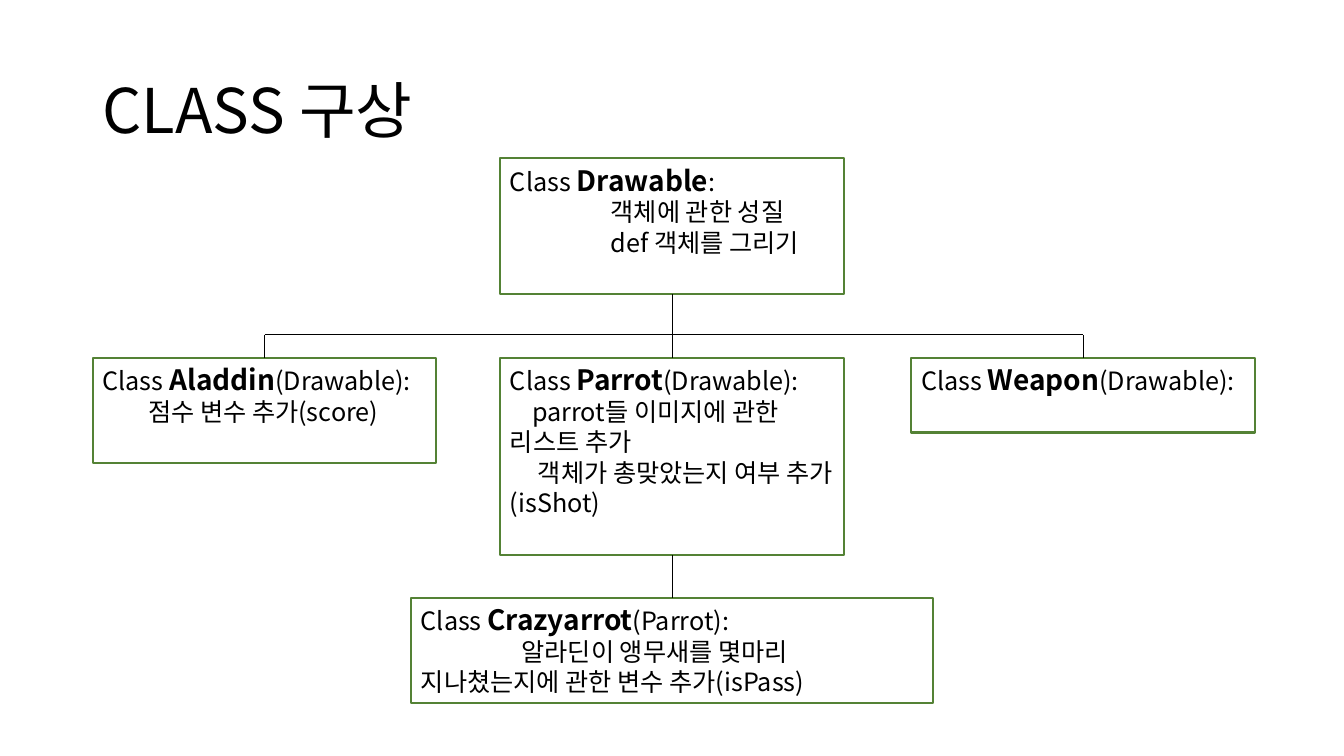
from pptx import Presentation
from pptx.dml.color import RGBColor
from pptx.enum import shapes, text
from pptx.oxml import xmlchemy as x
from pptx.oxml.ns import qn
from pptx.util import Pt

FONT = "Noto Sans CJK KR"
BLACK = RGBColor(0x00, 0x00, 0x00)
GREEN = RGBColor(0x54, 0x82, 0x35)

prs = Presentation()
prs.slide_width, prs.slide_height = Pt(960), Pt(540)
s = prs.slides.add_slide(prs.slide_layouts[6])


def add_run(p, words, size, bold=False):
    """Add a run in the slide font, for Latin and Korean alike."""
    r = p.add_run()
    r.text = words
    for name, value in {"name": FONT, "size": Pt(size), "bold": bold}.items():
        setattr(r.font, name, value)
    r.font.color.rgb = BLACK
    ea = x.OxmlElement("a:ea")
    ea.set("typeface", FONT)
    r.font._element.find(qn("a:latin")).addnext(ea)


def add_line(x1, y1, x2, y2):
    line = s.shapes.add_connector(shapes.MSO_CONNECTOR.STRAIGHT, Pt(x1), Pt(y1), Pt(x2), Pt(y2))
    line.line.color.rgb = BLACK
    line.line.width = Pt(0.5)
    line._element.spPr.append(x.OxmlElement("a:effectLst"))


# Title
tf = s.shapes.add_textbox(Pt(66), Pt(28.8), Pt(828), Pt(104.4)).text_frame
tf.word_wrap = True
tf.vertical_anchor = text.MSO_ANCHOR.MIDDLE
tf.paragraphs[0].line_spacing = 0.9
add_run(tf.paragraphs[0], "CLASS 구상", 44)

# Class boxes: centre, top, width, height, class name, rest of heading,
# then body lines as (first-line indent, words)
LEFT, MIDDLE, RIGHT = 189, 480, 773.6
ROOT_TOP, CHILD_TOP, LEAF_TOP = 113, 255.6, 427
ROOT_HEIGHT, PARROT_HEIGHT = 97.2, 140.6
WIDTH = 245.6
classes = [
    (MIDDLE, ROOT_TOP, WIDTH, ROOT_HEIGHT, "Drawable", ":",
     [(72, "객체에 관한 성질"), (72, "def 객체를 그리기")]),
    (LEFT, CHILD_TOP, WIDTH, 75, "Aladdin", "(Drawable):",
     [(32.5, "점수 변수 추가(score)")]),
    (MIDDLE, CHILD_TOP, WIDTH, PARROT_HEIGHT, "Parrot", "(Drawable):",
     [(16, "parrot들 이미지에 관한 리스트 추가"),
      (20, "객체가 총맞았는지 여부 추가 (isShot)")]),
    (RIGHT, CHILD_TOP, WIDTH, 53.4, "Weapon", "(Drawable):", []),
    (MIDDLE, LEAF_TOP, 373, 75, "Crazyarrot", "(Parrot):",
     [(72, "알라딘이 앵무새를 몇마리 지나쳤는지에 관한 변수 추가(isPass)")]),
]
for centre, top, width, height, name, rest, body in classes:
    sp = s.shapes.add_shape(shapes.MSO_SHAPE.RECTANGLE, Pt(centre - width / 2), Pt(top),
                            Pt(width), Pt(height))
    sp.shadow.inherit = False
    sp.fill.background()
    sp.line.color.rgb = GREEN
    sp.line.width = Pt(1.5)
    tf = sp.text_frame
    tf.word_wrap = True
    tf.vertical_anchor = text.MSO_ANCHOR.TOP
    p = tf.paragraphs[0]
    p.alignment = text.PP_ALIGN.LEFT
    add_run(p, "Class ", 18)
    add_run(p, name, 20, True)
    add_run(p, rest, 18)
    for indent, words in body:
        p = tf.add_paragraph()
        p.alignment = text.PP_ALIGN.LEFT
        pPr = p._p.get_or_add_pPr()
        pPr.set("marL", "0")
        pPr.set("indent", str(Pt(indent)))
        add_run(p, words, 18)

# Inheritance lines
BRANCH = 239
add_line(MIDDLE, ROOT_TOP + ROOT_HEIGHT, MIDDLE, CHILD_TOP)
for centre in (LEFT, RIGHT):
    add_line(centre, CHILD_TOP, centre, BRANCH)
add_line(LEFT, BRANCH, RIGHT, BRANCH)
add_line(MIDDLE, LEAF_TOP, MIDDLE, CHILD_TOP + PARROT_HEIGHT)

prs.save("out.pptx")
